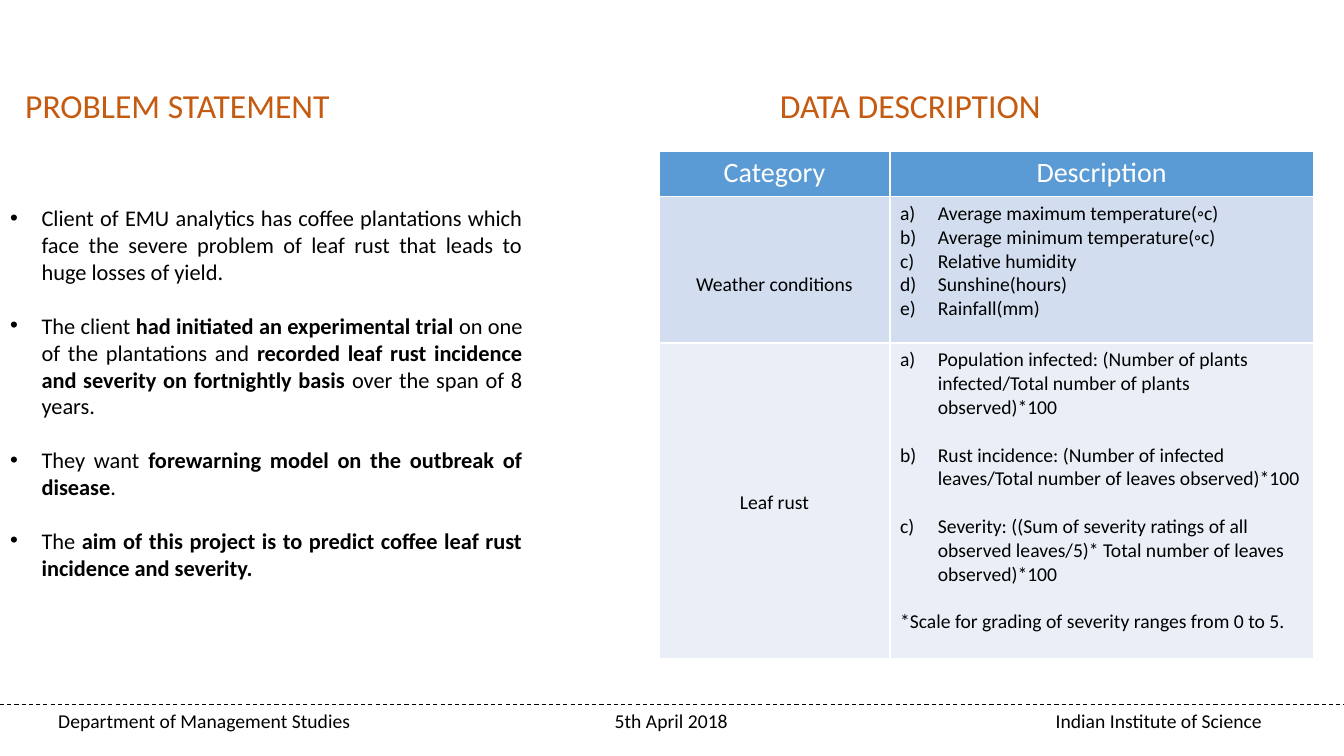
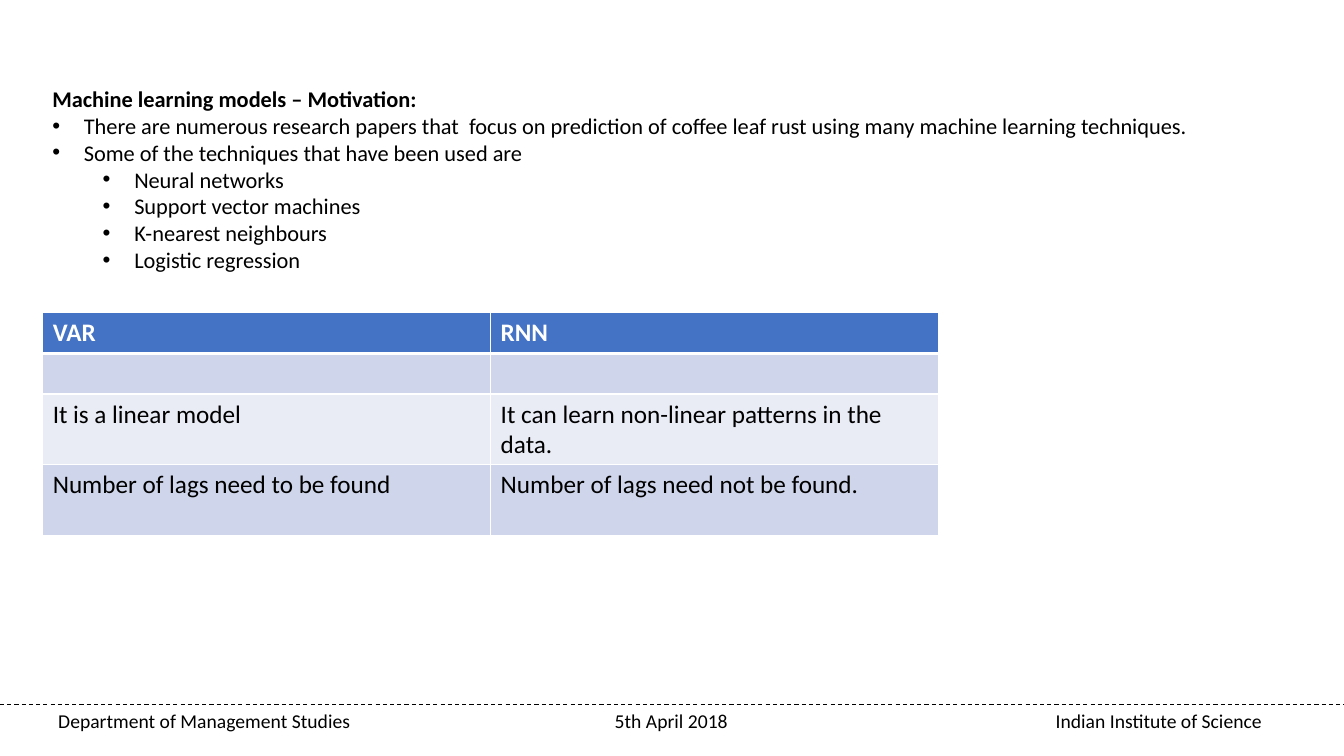
from dataclasses import dataclass
from lxml.etree import SubElement as Sub
from pptx import Presentation
from pptx.dml.color import RGBColor as Rgb
from pptx.enum.dml import MSO_LINE as Dash
from pptx.enum.shapes import MSO_CONNECTOR as Link
from pptx.enum.text import MSO_ANCHOR as Anchor, MSO_AUTO_SIZE as Fit, PP_ALIGN as Align
from pptx.oxml.ns import qn
from pptx.util import Pt


@dataclass(frozen=True)
class Theme:
    font: str = "Calibri"
    black: str = "000000"
    white: str = "FFFFFF"
    rust: str = "C55A11"
    sky: tuple = ("5B9BD5", "D2DEEF", "EAEFF7")
    blue: tuple = ("4472C4", "CFD5EA", "E9EBF5")
    head: int = 24
    top: int = 20
    cell: int = 18
    body: int = 16
    small: int = 14


look = Theme()


def write(frame, lines, size, color=look.black, bold=False, align=Align.LEFT, gap=0):
    """Fill a frame; text between bars is switched to bold."""
    frame.text = "\n".join(lines)
    frame.word_wrap = True
    frame.vertical_anchor = Anchor.TOP
    for i, par in enumerate(frame.paragraphs):
        parts = par.text.split("|")
        par.text = parts[0]
        for part in parts[1:]:
            par.add_run().text = part
        par.alignment = align
        par.space_before = Pt(gap if i else 0)
        for j, run in enumerate(par.runs):
            font = run.font
            font.name, font.size = look.font, Pt(size)
            font.bold = bold or j % 2 == 1
            font.color.rgb = Rgb.from_string(color)


def mark(par, left, hang, tag, **kind):
    """Give a paragraph a hanging bullet or number."""
    props = par._p.get_or_add_pPr()
    props.set("marL", str(Pt(left)))
    props.set("indent", str(-Pt(hang)))
    Sub(props, qn(tag), **kind)


deck = Presentation()
deck.slide_width, deck.slide_height = Pt(960), Pt(540)

# Both slides: title, list and footer
plans = [
    dict(
        title="PROBLEM STATEMENT", size=look.head, color=look.rust, bold=False,
        spot=(10.8, 57, 380, 36), area=(0, 146, 380.4, 280),
        align=Align.JUSTIFY, gap=19.2,
        items=[
            (0, "Client of EMU analytics has coffee plantations which face the severe "
                "problem of leaf rust that leads to huge losses of yield."),
            (0, "The client |had initiated an experimental trial |on one of the "
                "plantations and |recorded leaf rust incidence and severity on "
                "fortnightly basis| over the span of 8 years."),
            (0, "They want |forewarning model on the outbreak of disease|."),
            (0, "The |aim of this project is to predict coffee leaf rust incidence "
                "and severity."),
        ],
    ),
    dict(
        title="Machine learning models – Motivation:", size=look.body,
        color=look.black, bold=True,
        spot=(30.2, 57, 918, 23), area=(30.2, 80, 918, 130),
        align=Align.LEFT, gap=0,
        items=[
            (0, "There are numerous research papers that  focus on prediction of "
                "coffee leaf rust using many machine learning techniques."),
            (0, "Some of the techniques that have been used are"),
            (1, "Neural networks"),
            (1, "Support vector machines"),
            (1, "K-nearest neighbours"),
            (1, "Logistic regression"),
        ],
    ),
]
foot = [
    (34.5, 240, "Department of Management Studies"),
    (432, 110, "5th April 2018"),
    (747, 180, "Indian Institute of Science"),
]

slides = []
for plan in plans:
    slide = deck.slides.add_slide(deck.slide_layouts[1])
    slides.append(slide)
    title, body = slide.placeholders
    for shape, place in ((title, plan["spot"]), (body, plan["area"])):
        shape.left, shape.top, shape.width, shape.height = map(Pt, place)
        shape.text_frame.auto_size = Fit.NONE
    write(title.text_frame, [plan["title"]], plan["size"], plan["color"], plan["bold"])
    title.text_frame.margin_bottom = body.text_frame.margin_top = 0

    write(body.text_frame, [text for _, text in plan["items"]], look.body,
          align=plan["align"], gap=plan["gap"])
    for par, (level, _) in zip(body.text_frame.paragraphs, plan["items"]):
        par.level = level
        mark(par, 22.5 + 36 * level, 22.5, "a:buChar", char="•")

    rule = slide.shapes.add_connector(Link.STRAIGHT, 0, Pt(503), Pt(960), Pt(503))
    rule.line.color.rgb = Rgb.from_string(look.black)
    rule.line.width = Pt(0.75)
    rule.line.dash_style = Dash.DASH
    Sub(rule._element.spPr, qn("a:effectLst"))
    for left, width, text in foot:
        box = slide.shapes.add_textbox(Pt(left), Pt(503), Pt(width), Pt(24.5))
        write(box.text_frame, [text], look.small)

# Heading above the first table
box = slides[0].shapes.add_textbox(Pt(550), Pt(57), Pt(400), Pt(36))
write(box.text_frame, ["DATA DESCRIPTION"], look.head, look.rust)

# Tables: each cell is a list of lines
grids = [
    dict(
        spot=(470.7, 108), cols=(165, 302.4), rows=(32.5, 104.5, 225.5),
        fills=look.sky, top=look.top, size=look.small, bold=False, align=Align.CENTER,
        cells=[
            [["Category"], ["Description"]],
            [["Weather conditions"], [
                "Average maximum temperature(◦c)",
                "Average minimum temperature(◦c)",
                "Relative humidity",
                "Sunshine(hours)",
                "Rainfall(mm)",
            ]],
            [["Leaf rust"], [
                "Population infected: (Number of plants infected/Total number of "
                "plants observed)*100",
                "Rust incidence: (Number of infected leaves/Total number of leaves "
                "observed)*100",
                "Severity: ((Sum of severity ratings of all observed leaves/5)* "
                "Total number of leaves observed)*100",
                "*Scale for grading of severity ranges from 0 to 5.",
            ]],
        ],
    ),
    dict(
        spot=(30.5, 223.4), cols=(320, 320), rows=(29, 29, 50.4, 50.4),
        fills=look.blue, top=look.cell, size=look.cell, bold=True, align=Align.LEFT,
        cells=[
            [["VAR"], ["RNN"]],
            [[], []],
            [["It is a linear model"], ["It can learn non-linear patterns in the data."]],
            [["Number of lags need to be found"], ["Number of lags need not be found."]],
        ],
    ),
]

tables = []
for slide, grid in zip(slides, grids):
    cols, rows = grid["cols"], grid["rows"]
    table = slide.shapes.add_table(
        len(rows), len(cols), *map(Pt, (*grid["spot"], sum(cols), sum(rows)))).table
    tables.append(table)
    for col, width in zip(table.columns, cols):
        col.width = Pt(width)
    for r, height in enumerate(rows):
        table.rows[r].height = Pt(height)
        tint = grid["fills"][0 if r == 0 else 2 - r % 2]
        for c, lines in enumerate(grid["cells"][r]):
            cell = table.cell(r, c)
            cell.fill.solid()
            cell.fill.fore_color.rgb = Rgb.from_string(tint)
            if not lines:
                continue
            if r == 0:
                write(cell.text_frame, lines, grid["top"], look.white,
                      grid["bold"], grid["align"])
            else:
                write(cell.text_frame, lines, grid["size"],
                      align=grid["align"] if c == 0 else Align.LEFT,
                      gap=17 if r == 2 else 0)

# First table: lowered labels and lettered lists
for r, drop in ((1, 54.6), (2, 105.6)):
    tables[0].cell(r, 0).margin_top = Pt(drop)
    for par in tables[0].cell(r, 1).text_frame.paragraphs:
        if not par.text.startswith("*"):
            mark(par, 27, 27, "a:buAutoNum", type="alphaLcParenR")

# Second table: thick line under the header
for cell in tables[1].rows[0].cells:
    props = cell._tc.get_or_add_tcPr()
    edge = Sub(props, qn("a:lnB"), w=str(Pt(3)))
    Sub(Sub(edge, qn("a:solidFill")), qn("a:srgbClr"), val=look.white)
    props.insert(0, edge)

deck.save("out.pptx")
